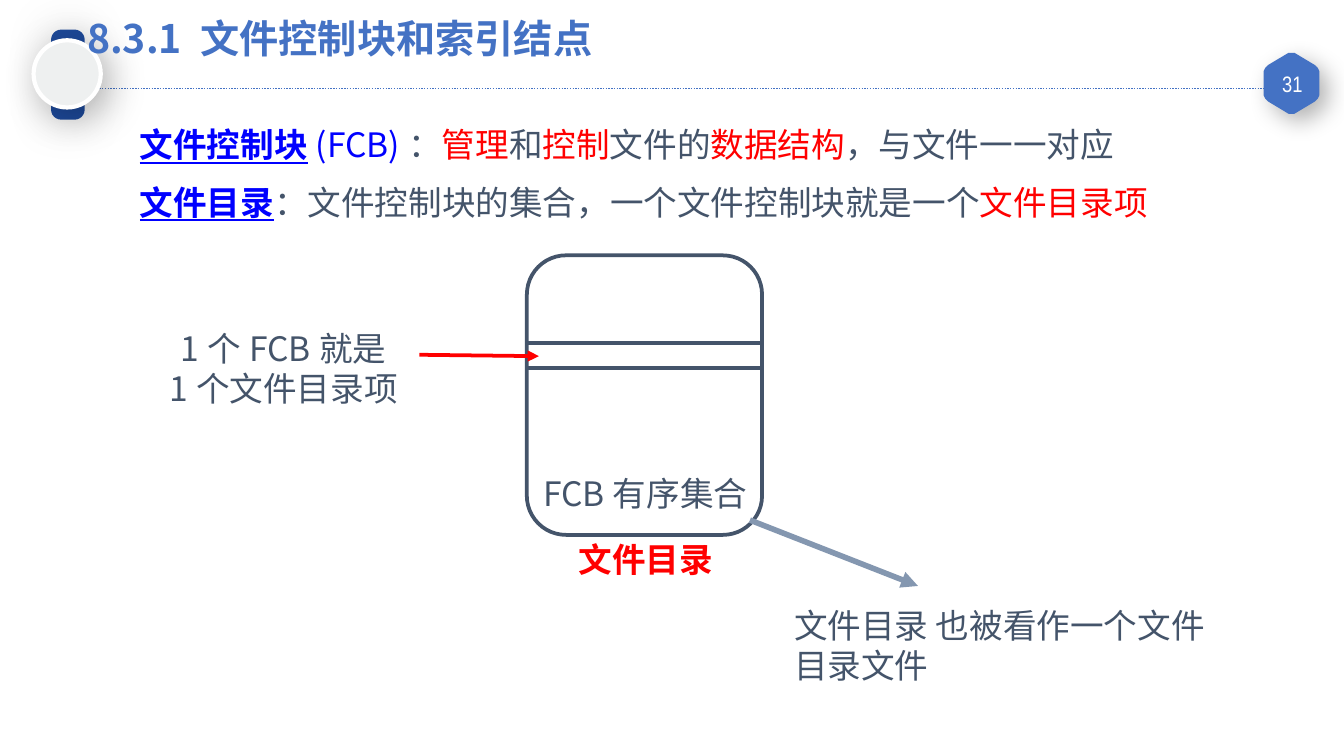
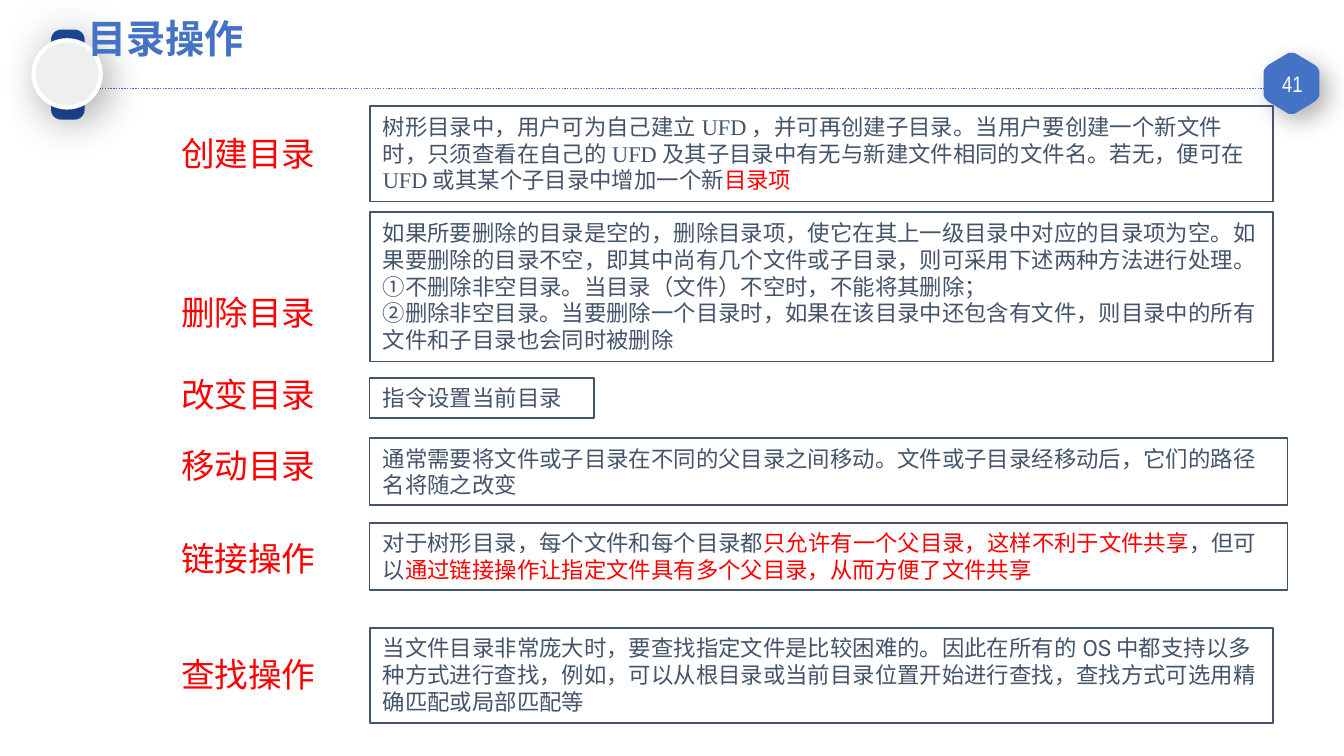
from dataclasses import dataclass

from lxml import etree
from pptx import Presentation
from pptx import util as u
from pptx.dml.color import RGBColor
from pptx.enum import dml, shapes, text
from pptx.oxml.ns import qn


@dataclass(frozen=True)
class Theme:
    blue: str = "4472C4"
    navy: str = "1D4999"
    slate: str = "44546A"
    steel: str = "8497B0"
    red: str = "FF0000"
    term: str = "0000FF"
    pale: str = "EEF0F0"
    white: str = "FFFFFF"
    cjk: str = "Noto Sans CJK SC"
    body: str = "Roboto"
    serif: str = "Times New Roman"
    narrow: str = "Arial Narrow"
    title_size: int = 21
    label_size: int = 18
    small_size: int = 12


T = Theme()
SLIDE_WIDTH = u.Inches(10)
SLIDE_HEIGHT = SLIDE_WIDTH * 9 // 16
CENTER = text.PP_ALIGN.CENTER
MIDDLE = text.MSO_ANCHOR.MIDDLE
TIGHT = (0.07, 0.04)
ROOMY = (0.1, 0.05)

# Run styles: what differs from the style of the box
RED = {"color": T.red}
TERM = {"color": T.term}
KEY = {"color": T.term, "bold": True, "underline": True}
SERIF = {"font": T.serif}

# Content: a paragraph is a list of (text, style) runs or a plain string
FCB_TITLE, FCB_PAGE = "8.3.1 文件控制块和索引结点", "31"
DEFINITIONS = [
    ((0.97, 0.91, 7.46, 0.33),
     [("文件控制块", KEY), ("(FCB)", TERM), ("：", {}), ("管理", RED), ("和", {}),
      ("控制", RED), ("文件的", {}), ("数据结构", RED), ("，与文件一一对应", {})]),
    ((0.97, 1.34, 8.05, 0.32),
     [("文件目录", KEY), ("：文件控制块的集合，一个文件控制块就是一个", {}),
      ("文件目录项", RED)]),
]
DIRECTORY_NAME = [("文件目录", {"color": T.red, "bold": True})]
DIRECTORY_CONTENT = "FCB有序集合"
ENTRY_NOTE = ["1个FCB就是", "1个文件目录项"]
FILE_NOTE = ["文件目录 也被看作一个文件", "目录文件"]

OPERATIONS_TITLE, OPERATIONS_PAGE = "目录操作", "41"
# (name, top of name, box top, box width, box height, paragraphs)
OPERATIONS = [
    ("创建目录", 0.94, 0.79, 6.72, 0.71, [[
        ("树形目录中，用户可为自己建立", {}), ("UFD", SERIF),
        ("，并可再创建子目录。当用户要创建一个新文件时，只须查看在自己的", {}),
        ("UFD", SERIF),
        ("及其子目录中有无与新建文件相同的文件名。若无，便可在", {}),
        ("UFD", SERIF), ("或其某个子目录中增加一个新", {}), ("目录项", RED)]]),
    ("删除目录", 2.12, 1.58, 6.72, 1.11, [
        "如果所要删除的目录是空的，删除目录项，使它在其上一级目录中对应的目录项为空。"
        "如果要删除的目录不空，即其中尚有几个文件或子目录，则可采用下述两种方法进行处理。"
        "①不删除非空目录。当目录（文件）不空时，不能将其删除；",
        "②删除非空目录。当要删除一个目录时，如果在该目录中还包含有文件，"
        "则目录中的所有文件和子目录也会同时被删除"]),
    ("改变目录", 2.73, 2.81, 1.67, 0.3, ["指令设置当前目录"]),
    ("移动目录", 3.26, 3.26, 6.83, 0.5, [
        "通常需要将文件或子目录在不同的父目录之间移动。"
        "文件或子目录经移动后，它们的路径名将随之改变"]),
    ("链接操作", 3.95, 3.89, 6.83, 0.5, [[
        ("对于树形目录，每个文件和每个目录都", {}),
        ("只允许有一个父目录，这样不利于文件共享", RED), ("，但可以", {}),
        ("通过链接操作让指定文件具有多个父目录，从而方便了文件共享", RED)]]),
    ("查找操作", 4.82, 4.67, 6.72, 0.71, [
        "当文件目录非常庞大时，要查找指定文件是比较困难的。"
        "因此在所有的OS中都支持以多种方式进行查找，例如，"
        "可以从根目录或当前目录位置开始进行查找，"
        "查找方式可选用精确匹配或局部匹配等"]),
]


def inches(values):
    return [u.Inches(v) for v in values]


def rgb(color):
    return RGBColor.from_string(color)


# Text
def write(shape, paragraphs, size=T.label_size, color=T.slate, font=T.cjk,
          bold=False, align=None, anchor=text.MSO_ANCHOR.TOP, inset=ROOMY,
          wrap=True, grow=True):
    frame = shape.text_frame
    frame.word_wrap = wrap
    frame.vertical_anchor = anchor
    frame.margin_left = frame.margin_right = u.Inches(inset[0])
    frame.margin_top = frame.margin_bottom = u.Inches(inset[1])
    frame.auto_size = (text.MSO_AUTO_SIZE.SHAPE_TO_FIT_TEXT if grow
                       else text.MSO_AUTO_SIZE.NONE)
    for i, runs in enumerate(paragraphs):
        paragraph = frame.add_paragraph() if i else frame.paragraphs[0]
        paragraph.alignment = align or text.PP_ALIGN.LEFT
        # Keep punctuation inside the right margin
        paragraph._p.get_or_add_pPr().set("hangingPunct", "0")
        for words, style in [(runs, {})] if isinstance(runs, str) else runs:
            run = paragraph.add_run()
            run.text = words
            run.font.size = u.Pt(size)
            run.font.bold = style.get("bold", bold)
            run.font.underline = style.get("underline", False)
            run.font.color.rgb = rgb(style.get("color", color))
            run.font.name = style.get("font", font)
            east_asian = etree.SubElement(run.font._element, qn("a:ea"))
            east_asian.set("typeface", T.cjk)


def add_text(slide, box, paragraphs, **style):
    write(slide.shapes.add_textbox(*inches(box)), paragraphs, **style)


# Shapes and lines
def paint(shape, fill=None, line=None, width=1):
    shape.shadow.inherit = False
    if fill:
        shape.fill.solid()
        shape.fill.fore_color.rgb = rgb(fill)
    else:
        shape.fill.background()
    if line:
        shape.line.color.rgb = rgb(line)
        shape.line.width = u.Pt(width)
    else:
        shape.line.fill.background()
    return shape


def add_shape(slide, kind, box, **look):
    return paint(slide.shapes.add_shape(kind, *inches(box)), **look)


def cast_shadow(shape, opacity, blur, distance, angle):
    effects = shape._element.spPr.find(qn("a:effectLst"))
    shadow = etree.SubElement(effects, qn("a:outerShdw"), {
        "blurRad": str(u.Pt(blur)), "dist": str(u.Pt(distance)),
        "dir": str(angle * 60000), "algn": "ctr", "rotWithShape": "0"})
    black = etree.SubElement(shadow, qn("a:srgbClr"), val="000000")
    etree.SubElement(black, qn("a:alpha"), val=str(opacity * 1000))


def add_line(slide, start, end, color, width, arrow=False):
    line = slide.shapes.add_connector(
        shapes.MSO_CONNECTOR.STRAIGHT, *inches(start + end))
    line.line.color.rgb = rgb(color)
    line.line.width = u.Pt(width)
    if arrow:
        etree.SubElement(line.line._get_or_add_ln(), qn("a:tailEnd"),
                         type="triangle")
    etree.SubElement(line._element.spPr, qn("a:effectLst"))
    return line


# Shared frame: rule, page badge, ornament, title
def add_badge(slide, page):
    center_x, center_y = 9.61, 0.62
    quarter = [(0.02, 0.22), (0.17, 0.13), (0.19, 0.11), (0.2, 0.09)]
    right = quarter + [(x, -y) for x, y in reversed(quarter)]
    outline = right + [(-x, -y) for x, y in right]
    points = [inches((center_x + x, center_y + y)) for x, y in outline]
    builder = slide.shapes.build_freeform(*points[0])
    builder.add_line_segments(points[1:], close=True)
    badge = paint(builder.convert_to_shape(), fill=T.blue, line=T.blue)
    cast_shadow(badge, 30, 13, 6, 45)
    add_text(slide, (9.42, 0.5, 0.39, 0.25), [page], size=T.small_size,
             color=T.white, font=T.narrow, align=CENTER, anchor=MIDDLE,
             inset=TIGHT, grow=False)


def add_framed_slide(deck, title, page):
    slide = deck.slides.add_slide(deck.slide_layouts[6])
    rule = add_line(slide, (0.33, 0.66), (9.43, 0.66), T.blue, 0.75)
    rule.line.dash_style = dml.MSO_LINE.ROUND_DOT
    add_badge(slide, page)
    strap = add_shape(slide, shapes.MSO_SHAPE.ROUNDED_RECTANGLE,
                      (0.17, 0.43, 0.67, 0.25), fill=T.navy)
    strap.rotation = 270
    strap.adjustments[0] = 0.3
    cast_shadow(strap, 17, 27, 0, 0)
    dial = add_shape(slide, shapes.MSO_SHAPE.OVAL, (0.25, 0.3, 0.5, 0.5),
                     fill=T.pale, line=T.white, width=2.25)
    cast_shadow(dial, 28, 22, 6, 45)
    add_text(slide, (0.55, 0.06, 5.76, 0.45), [title], size=T.title_size,
             color=T.blue, bold=True)
    return slide


def build_fcb(deck):
    slide = add_framed_slide(deck, FCB_TITLE, FCB_PAGE)
    for box, runs in DEFINITIONS:
        add_text(slide, box, [runs], anchor=MIDDLE, inset=TIGHT, grow=False)

    # Directory with one entry marked off
    left, top, width, height = directory = (3.92, 1.9, 1.75, 2.08)
    add_shape(slide, shapes.MSO_SHAPE.ROUNDED_RECTANGLE, directory,
              line=T.slate, width=2)
    for y in (2.55, 2.74):
        add_line(slide, (left, y), (left + width, y), T.slate, 2)
    add_text(slide, (4.2, 3.96, 1.21, 0.4), [DIRECTORY_NAME], align=CENTER,
             wrap=False)
    add_text(slide, (3.79, 3.47, 2.02, 0.4), [DIRECTORY_CONTENT], align=CENTER)

    # Notes and their arrows
    add_text(slide, (1.1, 2.39, 2.02, 0.71), ENTRY_NOTE, align=CENTER)
    add_line(slide, (3.12, 2.64), (4.01, 2.65), T.red, 2, arrow=True)
    add_line(slide, (5.58, 3.87), (6.83, 4.36), T.steel, 3, arrow=True)
    add_text(slide, (5.81, 4.45, 3.31, 0.71), FILE_NOTE, wrap=False)


def build_operations(deck):
    slide = add_framed_slide(deck, OPERATIONS_TITLE, OPERATIONS_PAGE)
    for name, name_top, top, width, height, paragraphs in OPERATIONS:
        box = add_shape(slide, shapes.MSO_SHAPE.RECTANGLE,
                        (2.75, top, width, height), line=T.slate)
        write(box, paragraphs, size=T.small_size, font=T.body)
        add_text(slide, (1.25, name_top, 1.3, 0.4), [name], color=T.red)


def main():
    deck = Presentation()
    deck.slide_width, deck.slide_height = SLIDE_WIDTH, SLIDE_HEIGHT
    build_fcb(deck)
    build_operations(deck)
    deck.save("out.pptx")


if __name__ == "__main__":
    main()
